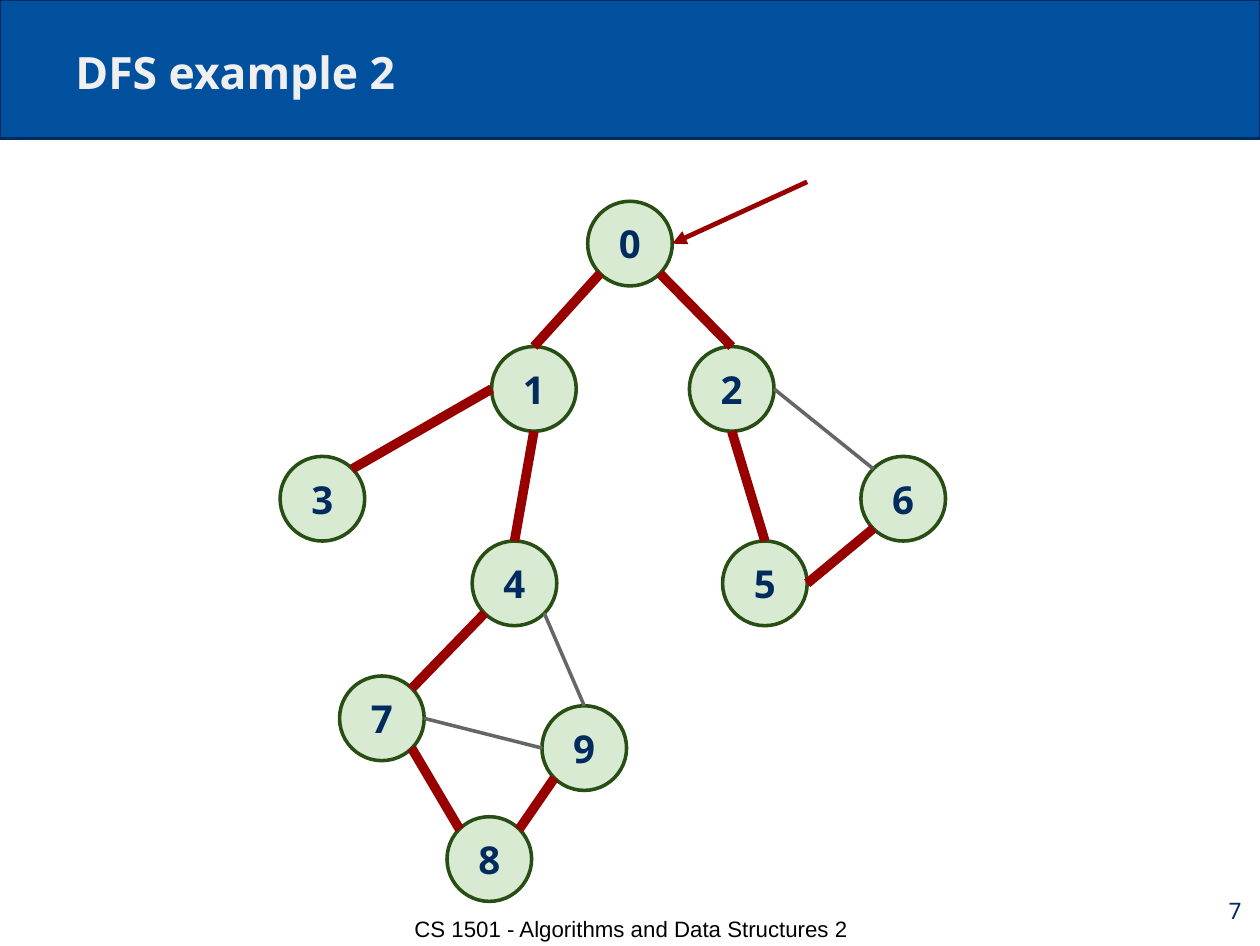
from lxml import etree
from pptx import Presentation
from pptx import util as u
from pptx.dml.color import RGBColor
from pptx.enum import shapes, text
from pptx.oxml.ns import qn

PX = 9144  # 100 px to the inch
BLUE = RGBColor(0x01, 0x50, 0x9E)
NAVY = RGBColor(0x00, 0x2B, 0x5E)
PALE = RGBColor(0xEF, 0xEF, 0xEF)
RED = RGBColor(0x98, 0x00, 0x00)
GREY = RGBColor(0x66, 0x66, 0x66)
MINT = RGBColor(0xD9, 0xEA, 0xD3)
GREEN = RGBColor(0x27, 0x4E, 0x13)
BLACK = RGBColor(0, 0, 0)


def write(shape, words, align, anchor, inset, color, **font_values):
    frame = shape.text_frame
    frame.text = words
    frame_values = dict(word_wrap=True, auto_size=text.MSO_AUTO_SIZE.NONE, vertical_anchor=anchor)
    for side in ("left", "top", "right", "bottom"):
        frame_values["margin_" + side] = inset * PX
    for name, value in frame_values.items():
        setattr(frame, name, value)
    paragraph = frame.paragraphs[0]
    paragraph.alignment = align
    font = paragraph.runs[0].font
    for name, value in font_values.items():
        setattr(font, name, value)
    font.color.rgb = color
    return paragraph


def draw_line(start, end, color, width):
    ends = [value * PX for value in (*start, *end)]
    connector = slide.shapes.add_connector(shapes.MSO_CONNECTOR.STRAIGHT, *ends)
    connector.line.color.rgb = color
    connector.line.width = u.Pt(width)
    etree.SubElement(connector.element.spPr, qn("a:effectLst"))
    return connector


presentation = Presentation()
presentation.slide_width, presentation.slide_height = 1102 * PX, 827 * PX
slide = presentation.slides.add_slide(presentation.slide_layouts[5])

# Title on its banner
title = slide.shapes.title
title.left, title.top, title.width, title.height = [v * PX for v in (55, 24, 992, 73)]
write(title, "DFS example 2", text.PP_ALIGN.LEFT, text.MSO_ANCHOR.BOTTOM, 11, PALE,
      size=u.Pt(28), name="Noto Sans", bold=True)
banner = slide.shapes.add_shape(shapes.MSO_SHAPE.RECTANGLE, 0, 0, 1102 * PX, 121 * PX)
banner.shadow.inherit = False
banner.fill.solid()
banner.fill.fore_color.rgb = BLUE
banner.line.color.rgb = NAVY
banner.line.width = u.Pt(1.5)
title.element.addprevious(banner.element)

# Graph: left and top of each node, and the points where edges meet it
SIZE = 74
NODES = [(514, 176), (430, 303), (603, 303), (245, 399), (413, 473),
         (632, 473), (753, 399), (297, 591), (391, 714), (474, 617)]
SITES = {"N": (37, 0), "S": (37, 74), "W": (0, 37), "E": (74, 37),
         "NW": (11, 11), "NE": (63, 11), "SW": (11, 63), "SE": (63, 63)}
TREE_EDGES = [(0, "SW", 1, "N"), (1, "W", 3, "NE"), (1, "S", 4, "N"),
              (4, "SW", 7, "NE"), (7, "SE", 8, "NW"), (8, "NE", 9, "SW"),
              (0, "SE", 2, "N"), (2, "S", 5, "N"), (5, "E", 6, "SW")]
OTHER_EDGES = [(4, "SE", 9, "N"), (2, "E", 6, "NW"), (7, "E", 9, "W")]

# Nodes
for number, (left, top) in enumerate(NODES):
    node = slide.shapes.add_shape(shapes.MSO_SHAPE.OVAL, left * PX, top * PX, SIZE * PX, SIZE * PX)
    node.shadow.inherit = False
    node.fill.solid()
    node.fill.fore_color.rgb = MINT
    node.line.color.rgb = GREEN
    node.line.width = u.Pt(2.25)
    write(node, str(number), text.PP_ALIGN.CENTER, text.MSO_ANCHOR.MIDDLE, 11, NAVY,
          size=u.Pt(24.2), name="Noto Sans", bold=True)

# Edges
for edges, color, width in ((OTHER_EDGES, GREY, 2.25), (TREE_EDGES, RED, 6)):
    for first, first_site, second, second_site in edges:
        start, end = [[a + b for a, b in zip(NODES[number], SITES[site])]
                      for number, site in ((first, first_site), (second, second_site))]
        draw_line(start, end, color, width)

# Arrow to the start node
arrow = draw_line((706, 159), (588, 213), RED, 3)
etree.SubElement(arrow.line._get_or_add_ln(), qn("a:tailEnd"), type="triangle")

# Slide number and footer
number_box = slide.shapes.add_textbox(*[v * PX for v in (1031, 764, 66, 63)])
write(number_box, "7", text.PP_ALIGN.RIGHT, text.MSO_ANCHOR.MIDDLE, 11, NAVY,
      size=u.Pt(14.3), name="Noto Sans")
footer = slide.shapes.add_textbox(*[v * PX for v in (283, 802, 538, 25)])
footer_line = write(footer, "CS 1501 - Algorithms and Data Structures 2", text.PP_ALIGN.CENTER,
                    text.MSO_ANCHOR.TOP, 0, BLACK, size=u.Pt(14), name="Arial")
footer_line.line_spacing = 0.96

presentation.save("out.pptx")
